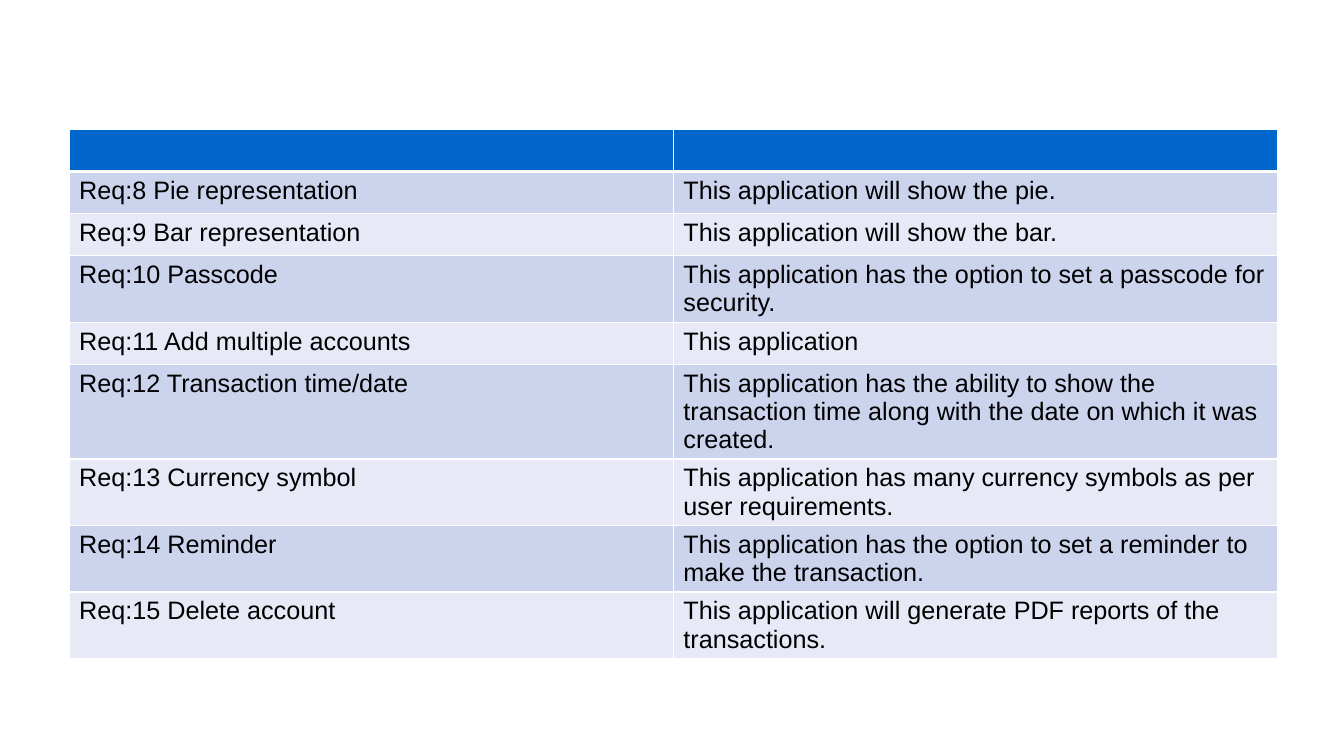
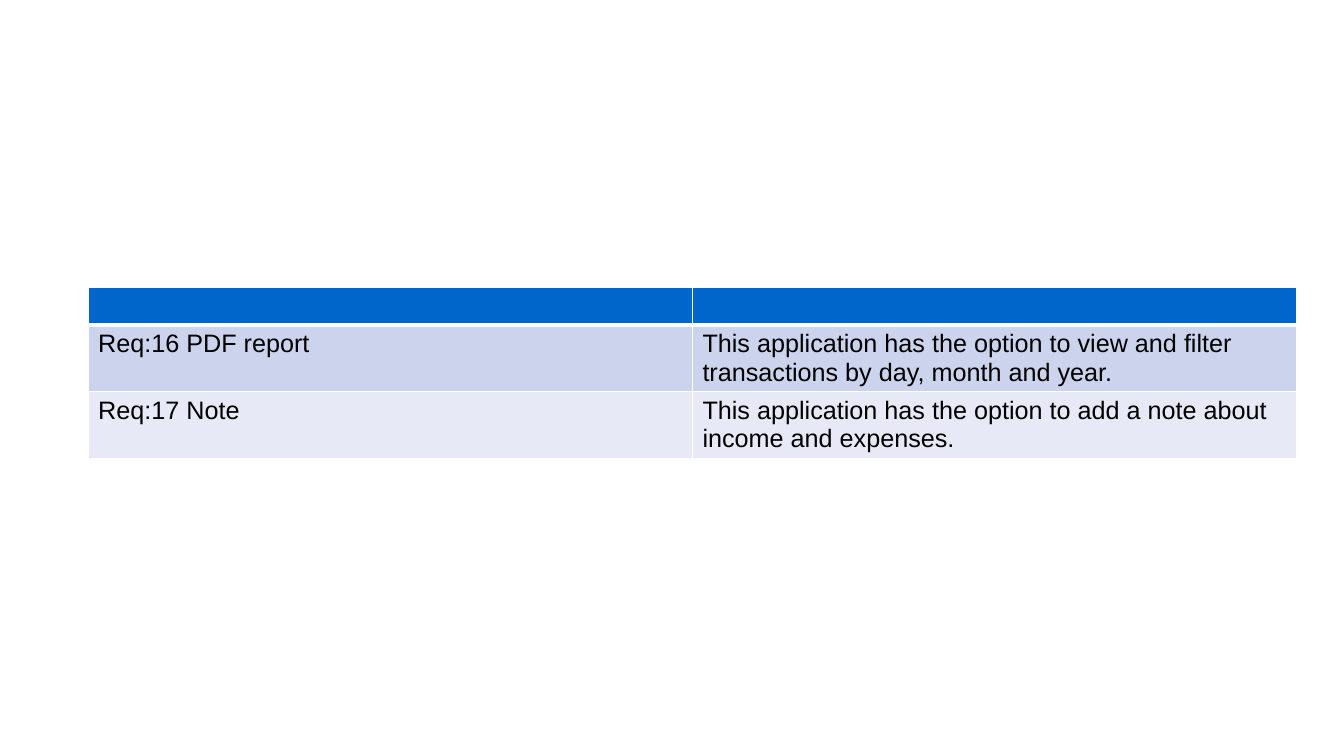
import pptx
import pptx.util
import pptx.dml.color
import pptx.oxml
import pptx.oxml.ns
import lxml.etree

Cm = pptx.util.Cm
Pt = pptx.util.Pt
RGBColor = pptx.dml.color.RGBColor

HEADER = RGBColor(0x00, 0x66, 0xCC)
BANDS = [RGBColor(0xCC, 0xD3, 0xEC), RGBColor(0xE7, 0xEA, 0xF6)]
BORDER = RGBColor(0xFF, 0xFF, 0xFF)
TEXT = RGBColor(0x00, 0x00, 0x00)
FONT = "Arial"
ROW_HEIGHT = Cm(1.06)
COLUMN_WIDTH = Cm(15.23)


def add_borders(cell, widths):
    tcPr = cell._tc.get_or_add_tcPr()
    qn = pptx.oxml.ns.qn
    for side, width in widths.items():
        ln = lxml.etree.SubElement(tcPr, qn(f"a:ln{side}"), w=str(Pt(width)))
        fill = lxml.etree.SubElement(ln, qn("a:solidFill"))
        lxml.etree.SubElement(fill, qn("a:srgbClr"), val=str(BORDER))


def add_requirements(left, top, header_height, requirements):
    s = prs.slides.add_slide(prs.slide_layouts[6])
    rows = [("", "")] + requirements
    height = header_height + ROW_HEIGHT * len(requirements)
    table = s.shapes.add_table(len(rows), 2, left, top, 2 * COLUMN_WIDTH, height).table
    for i, row in enumerate(rows):
        table.rows[i].height = ROW_HEIGHT if i else header_height
        for j, text in enumerate(row):
            cell = table.cell(i, j)
            add_borders(cell, {"L": 1, "R": 1, "T": 3 if i == 1 else 1, "B": 1 if i else 3})
            cell.fill.solid()
            cell.fill.fore_color.rgb = BANDS[(i - 1) % 2] if i else HEADER
            if i == 0:
                cell.margin_top = cell.margin_bottom = 0
                continue
            cell.text = text
            p = cell.text_frame.paragraphs[0]
            p.font.name = FONT
            p.font.size = Pt(18)
            p.font.bold = False
            p.font.color.rgb = TEXT


prs = pptx.Presentation()
prs.slide_width = Cm(33.87)
prs.slide_height = Cm(19.05)

add_requirements(Cm(1.74), Cm(3.26), ROW_HEIGHT, [
    ("Req:8 Pie representation", "This application will show the pie."),
    ("Req:9 Bar representation", "This application will show the bar."),
    ("Req:10 Passcode", "This application has the option to set a passcode for security."),
    ("Req:11 Add multiple accounts", "This application"),
    ("Req:12 Transaction time/date",
     "This application has the ability to show the transaction time along with "
     "the date on which it was created."),
    ("Req:13 Currency symbol",
     "This application has many currency symbols as per user requirements."),
    ("Req:14 Reminder",
     "This application has the option to set a reminder to make the transaction."),
    ("Req:15 Delete account",
     "This application will generate PDF reports of the transactions."),
])

add_requirements(Cm(2.22), Cm(7.25), Cm(0.94), [
    ("Req:16 PDF report",
     "This application has the option to view and filter transactions by day, month and year."),
    ("Req:17 Note",
     "This application has the option to add a note about income and expenses."),
])

prs.save("out.pptx")
